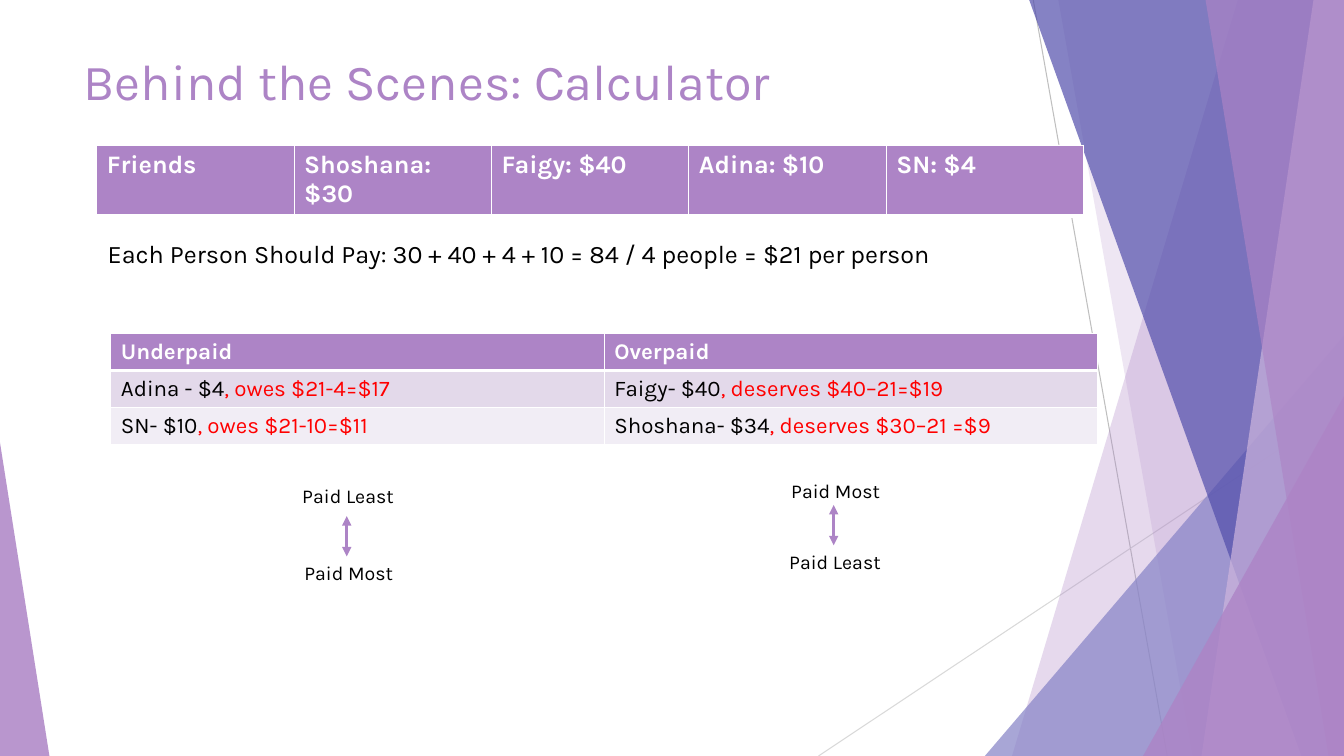
from dataclasses import dataclass
from typing import NamedTuple

from lxml.etree import SubElement
from pptx import Presentation
from pptx.dml.color import RGBColor
from pptx.enum.shapes import MSO_CONNECTOR, MSO_SHAPE
from pptx.oxml.ns import qn
from pptx.util import Emu, Inches, Pt

WIDTH, HEIGHT = Inches(13.333), Inches(7.5)


@dataclass(frozen=True)
class Theme:
    font: str = "Karla"
    purple: str = "AD84C6"
    lilac: str = "CEB5DD"
    periwinkle: str = "8784C7"
    indigo: str = "524EAB"
    band_dark: str = "E3D9EA"
    band_light: str = "F1EDF5"
    white: str = "FFFFFF"
    black: str = "000000"
    red: str = "FF0000"
    gray: str = "BFBFBF"
    pale_gray: str = "D9D9D9"
    title: int = 36
    body: int = 18
    ledger: int = 16
    label: int = 14
    hairline: float = 0.75
    arrow: float = 2.25
    border: float = 1
    header_rule: float = 3


THEME = Theme()


class Line(NamedTuple):
    x1: float
    y1: float
    x2: float
    y2: float
    color: str
    weight: float
    arrows: bool = False


class Pane(NamedTuple):
    top_x: float
    bottom_x: float
    color: str
    opacity: int


class Wedge(NamedTuple):
    left: float
    top: float
    width: float
    apex: float
    color: str
    opacity: int


class Label(NamedTuple):
    text: str
    left: float
    top: float
    width: float
    height: float
    size: int
    color: str = THEME.black


class Part(NamedTuple):
    text: str
    color: str
    bold: bool = False


class Grid(NamedTuple):
    left: float
    top: float
    row_height: float
    size: int
    rows: list[list[list[Part]]]


def across(share: float) -> Emu:
    return Emu(round(WIDTH * share / 100))


def down(share: float) -> Emu:
    return Emu(round(HEIGHT * share / 100))


def heading(text: str) -> list[Part]:
    return [Part(text, THEME.white, True)]


def balance(paid: str, difference: str) -> list[Part]:
    return [Part(paid, THEME.black), Part(difference, THEME.red)]


def style(run, size: int, color: str, bold: bool = False) -> None:
    run.font.name = THEME.font
    run.font.size = Pt(size)
    run.font.bold = bold
    run.font.color.rgb = RGBColor.from_string(color)


def paint(shape, color: str, opacity: int) -> None:
    shape.shadow.inherit = False
    shape.fill.solid()
    shape.fill.fore_color.rgb = RGBColor.from_string(color)
    shape.line.fill.background()
    tint = shape.element.spPr.find(qn("a:solidFill"))[0]
    SubElement(tint, qn("a:alpha"), val=str(opacity * 1000))


def draw_line(slide, line: Line) -> None:
    connector = slide.shapes.add_connector(
        MSO_CONNECTOR.STRAIGHT,
        across(line.x1), down(line.y1), across(line.x2), down(line.y2))
    connector.line.color.rgb = RGBColor.from_string(line.color)
    connector.line.width = Pt(line.weight)
    properties = connector.element.spPr
    if line.arrows:
        for end in ("a:headEnd", "a:tailEnd"):
            SubElement(properties.find(qn("a:ln")), qn(end), type="triangle")
    SubElement(properties, qn("a:effectLst"))


def draw_pane(slide, pane: Pane) -> None:
    outline = slide.shapes.build_freeform(across(pane.top_x), 0, scale=1.0)
    outline.add_line_segments(
        [(WIDTH, 0), (WIDTH, HEIGHT), (across(pane.bottom_x), HEIGHT)], close=True)
    paint(outline.convert_to_shape(), pane.color, pane.opacity)


def draw_wedge(slide, wedge: Wedge) -> None:
    triangle = slide.shapes.add_shape(
        MSO_SHAPE.ISOSCELES_TRIANGLE, across(wedge.left), down(wedge.top),
        across(wedge.width), down(100 - wedge.top))
    triangle.adjustments[0] = wedge.apex
    paint(triangle, wedge.color, wedge.opacity)


def draw_label(slide, label: Label) -> None:
    frame = slide.shapes.add_textbox(
        across(label.left), down(label.top),
        across(label.width), down(label.height)).text_frame
    frame.word_wrap = True
    frame.text = label.text
    style(frame.paragraphs[0].runs[0], label.size, label.color)


def add_borders(cell, bottom: float) -> None:
    properties = cell._tc.get_or_add_tcPr()
    weights = {"L": THEME.border, "R": THEME.border, "T": THEME.border, "B": bottom}
    for side, weight in weights.items():
        border = SubElement(properties, qn(f"a:ln{side}"), w=str(Pt(weight)))
        fill = SubElement(border, qn("a:solidFill"))
        SubElement(fill, qn("a:srgbClr"), val=THEME.white)


def draw_grid(slide, grid: Grid) -> None:
    count = len(grid.rows[0])
    table = slide.shapes.add_table(
        len(grid.rows), count, across(grid.left), down(grid.top),
        across(TABLE_WIDTH), down(grid.row_height * len(grid.rows))).table
    for column in table.columns:
        column.width = across(TABLE_WIDTH / count)
    fills = (THEME.purple, THEME.band_dark, THEME.band_light)
    for r, (row, fill) in enumerate(zip(grid.rows, fills)):
        for c, parts in enumerate(row):
            cell = table.cell(r, c)
            add_borders(cell, THEME.border if r else THEME.header_rule)
            cell.fill.solid()
            cell.fill.fore_color.rgb = RGBColor.from_string(fill)
            for part in parts:
                run = cell.text_frame.paragraphs[0].add_run()
                run.text = part.text
                style(run, grid.size, part.color, part.bold)


TABLE_WIDTH = 73.43
LABEL_SIZE = (11.4, 4.53, THEME.label)

BACKDROP = [
    Line(76.88, 0, 86.85, 100, THEME.gray, THEME.hairline),
    Line(100, 53.73, 60.9, 100, THEME.pale_gray, THEME.hairline),
    Pane(92.1, 75.3, THEME.purple, 30),
    Pane(78.75, 88.73, THEME.purple, 20),
    Wedge(73.28, 44.4, 26.72, 1, THEME.periwinkle, 72),
    Pane(76.58, 96.83, THEME.indigo, 70),
    Pane(97.73, 89.4, THEME.lilac, 70),
    Pane(89.7, 98.85, THEME.purple, 65),
    Wedge(85.05, 52.4, 14.95, 1, THEME.purple, 80),
    Wedge(0, 58.53, 3.68, 0, THEME.purple, 85),
]
FRIENDS = ["Friends", "Shoshana: $30", "Faigy: $40", "Adina: $10", "SN: $4"]
CONTENT = [
    Label("Behind the Scenes: Calculator", 5.48, 6, 70.5, 19.2, THEME.title, THEME.purple),
    Grid(7.2, 19.2, 5.47, THEME.body, [[heading(friend) for friend in FRIENDS]]),
    Label("Each Person Should Pay: 30 + 40 + 4 + 10 = 84 / 4 people = $21 per person",
          7.28, 30.93, 87.3, 5.33, THEME.body),
    Grid(8.25, 44.13, 4.88, THEME.ledger, [
        [heading("Underpaid"), heading("Overpaid")],
        [balance("Adina - $4", ", owes $21-4=$17"),
         balance("Faigy- $40", ", deserves $40–21=$19")],
        [balance("SN- $10", ", owes $21-10=$11"),
         balance("Shoshana- $34", ", deserves $30–21 =$9")],
    ]),
    Label("Paid Least", 57.98, 72.13, *LABEL_SIZE),
    Label("Paid Most", 58.13, 62.67, *LABEL_SIZE),
    Label("Paid Most", 21.9, 73.6, *LABEL_SIZE),
    Label("Paid Least", 21.75, 63.33, *LABEL_SIZE),
    Line(25.8, 68.27, 25.8, 73.6, THEME.purple, THEME.arrow, True),
    Line(62.03, 66.8, 62.03, 72.13, THEME.purple, THEME.arrow, True),
]
DRAWERS = {Line: draw_line, Pane: draw_pane, Wedge: draw_wedge,
           Label: draw_label, Grid: draw_grid}


def main() -> None:
    deck = Presentation()
    deck.slide_width, deck.slide_height = WIDTH, HEIGHT
    slide = deck.slides.add_slide(deck.slide_layouts[6])
    for element in BACKDROP + CONTENT:
        DRAWERS[type(element)](slide, element)
    deck.save("out.pptx")


if __name__ == "__main__":
    main()
